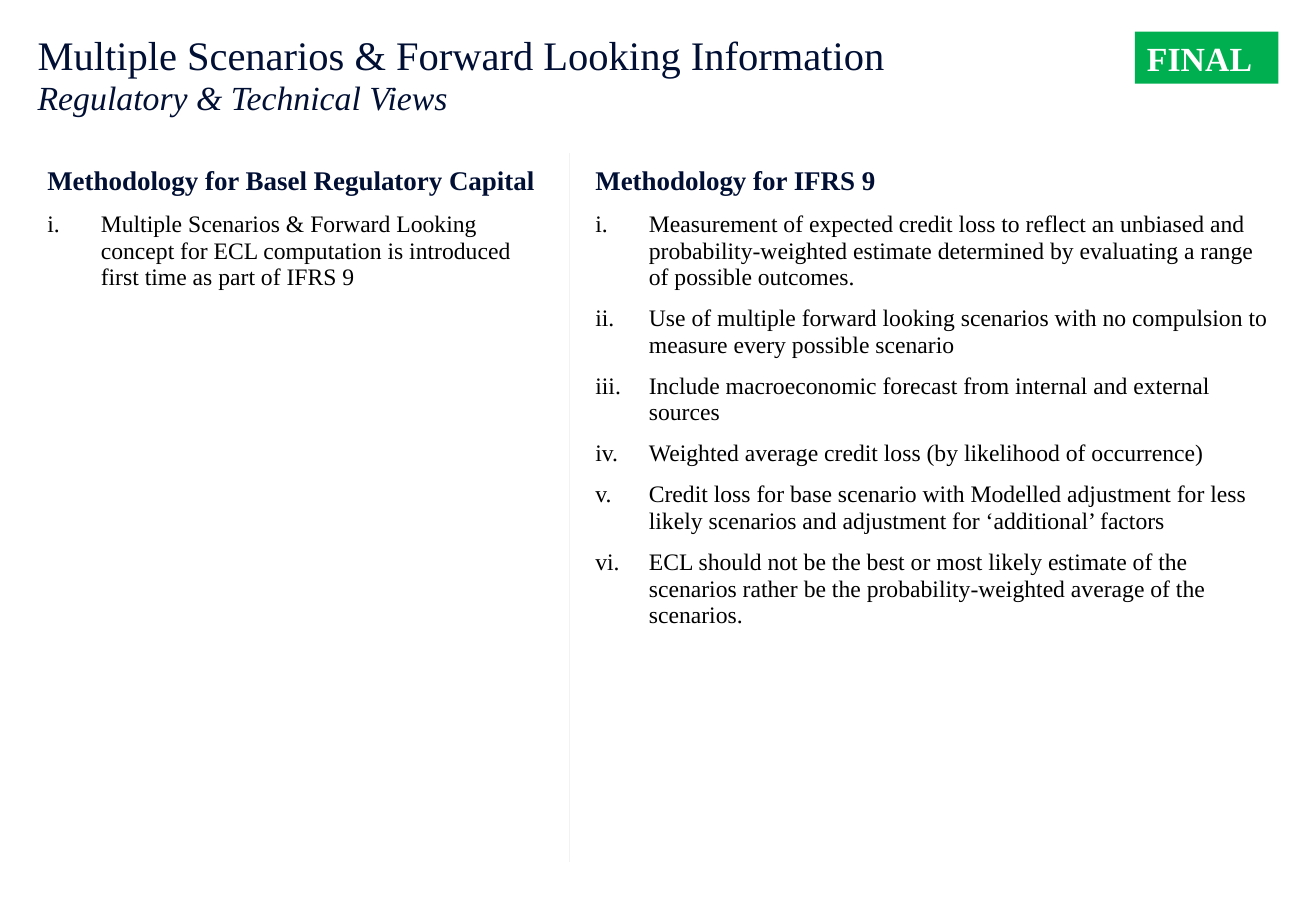
from dataclasses import dataclass

import pptx
import pptx.dml.color
import pptx.enum.shapes
import pptx.enum.text
import pptx.oxml.xmlchemy
import pptx.presentation
import pptx.shapes.autoshape
import pptx.slide
import pptx.text.text
import pptx.util
from lxml import etree
from pptx.oxml.ns import qn
from pptx.util import Inches

COLORS = {"navy": "000F33", "black": "000000", "white": "FFFFFF",
          "green": "00B050", "divider": "F2F2F2"}
FONT_NAME = "Times New Roman"
LINE_SPACING = 0.94
ITEM_GAP = 8.5
ITEM_INDENT = Inches(0.44)
COLUMN_TOP, COLUMN_HEIGHT = 1.29, 5.66
INSET = 0.08


@dataclass
class Column:
    left: float
    width: float
    heading: str
    items: list[str]


COLUMNS = [
    Column(0.31, 4.2, "Methodology for Basel Regulatory Capital", [
        "Multiple Scenarios & Forward Looking concept for ECL computation is introduced "
        "first time as part of IFRS 9",
    ]),
    Column(4.82, 5.7, "Methodology for IFRS 9", [
        "Measurement of expected credit loss to reflect an unbiased and probability-weighted "
        "estimate determined by evaluating a range of possible outcomes.",
        "Use of multiple forward looking scenarios with no compulsion to measure every "
        "possible scenario",
        "Include macroeconomic forecast from internal and external sources",
        "Weighted average credit loss (by likelihood of occurrence)",
        "Credit loss for base scenario with Modelled adjustment for less likely scenarios "
        "and adjustment for ‘additional’ factors",
        "ECL should not be the best or most likely estimate of the scenarios rather be the "
        "probability-weighted average of the scenarios.",
    ]),
]


def color(name: str) -> pptx.dml.color.RGBColor:
    return pptx.dml.color.RGBColor.from_string(COLORS[name])


def set_font(font: pptx.text.text.Font, size: float, color_name: str,
             bold: bool = False) -> None:
    font.name = FONT_NAME
    font.size = pptx.util.Pt(size)
    font.bold = bold
    font.color.rgb = color(color_name)


def add_text_frame(slide: pptx.slide.Slide, left: float, top: float, width: float,
                   height: float, inset: float) -> pptx.text.text.TextFrame:
    box = slide.shapes.add_textbox(Inches(left), Inches(top), Inches(width), Inches(height))
    frame = box.text_frame
    frame.word_wrap = True
    frame.margin_left = frame.margin_top = frame.margin_right = Inches(inset)
    frame.margin_bottom = 0
    return frame


def add_title(slide: pptx.slide.Slide) -> None:
    paragraph = add_text_frame(slide, 0.31, 0.28, 10.2, 1.01, 0).paragraphs[0]
    paragraph.line_spacing = LINE_SPACING
    title = paragraph.add_run()
    title.text = "Multiple Scenarios & Forward Looking Information"
    set_font(title.font, 24, "navy")
    paragraph.add_line_break()
    subtitle = paragraph.add_run()
    subtitle.text = "Regulatory & Technical Views"
    set_font(subtitle.font, 20, "navy")
    subtitle.font.italic = True


def number_with_roman(paragraph: pptx.text.text._Paragraph) -> None:
    """Give the paragraph a hanging i., ii., iii. number."""
    properties = paragraph._p.get_or_add_pPr()
    properties.set("marL", str(ITEM_INDENT))
    properties.set("indent", str(-ITEM_INDENT))
    etree.SubElement(properties, qn("a:buFont"), typeface="+mj-lt")
    etree.SubElement(properties, qn("a:buAutoNum"), type="romanLcPeriod")


def add_column(slide: pptx.slide.Slide, column: Column) -> None:
    frame = add_text_frame(slide, column.left, COLUMN_TOP, column.width, COLUMN_HEIGHT, INSET)
    heading = frame.paragraphs[0]
    heading.text = column.heading
    heading.line_spacing = LINE_SPACING
    set_font(heading.font, 16, "navy", bold=True)
    for item in column.items:
        paragraph = frame.add_paragraph()
        paragraph.text = item
        number_with_roman(paragraph)
        paragraph.line_spacing = LINE_SPACING
        paragraph.space_before = pptx.util.Pt(ITEM_GAP)
        set_font(paragraph.font, 14, "black")


def add_divider(slide: pptx.slide.Slide) -> None:
    x = Inches(4.69)
    divider = slide.shapes.add_connector(
        pptx.enum.shapes.MSO_CONNECTOR.STRAIGHT, x, Inches(1.26), x, Inches(7.1))
    divider.line.color.rgb = color("divider")
    divider.line.width = pptx.util.Pt(0.75)
    etree.SubElement(divider._element.spPr, qn("a:effectLst"))


def add_status_badge(slide: pptx.slide.Slide) -> None:
    badge = slide.shapes.add_shape(
        pptx.enum.shapes.MSO_SHAPE.RECTANGLE,
        Inches(9.34), Inches(0.26), Inches(1.18), Inches(0.43))
    badge.shadow.inherit = False
    badge.fill.solid()
    badge.fill.fore_color.rgb = color("green")
    badge.line.fill.background()
    badge.text_frame.auto_size = pptx.enum.text.MSO_AUTO_SIZE.SHAPE_TO_FIT_TEXT
    paragraph = badge.text_frame.paragraphs[0]
    paragraph.text = "FINAL"
    paragraph.alignment = pptx.enum.text.PP_ALIGN.LEFT
    set_font(paragraph.font, 20, "white", bold=True)


def main() -> None:
    presentation = pptx.Presentation()
    presentation.slide_width = Inches(10.83)
    presentation.slide_height = Inches(7.5)
    slide = presentation.slides.add_slide(presentation.slide_layouts[6])
    add_title(slide)
    for column in COLUMNS:
        add_column(slide, column)
    add_divider(slide)
    add_status_badge(slide)
    presentation.save("out.pptx")


if __name__ == "__main__":
    main()
